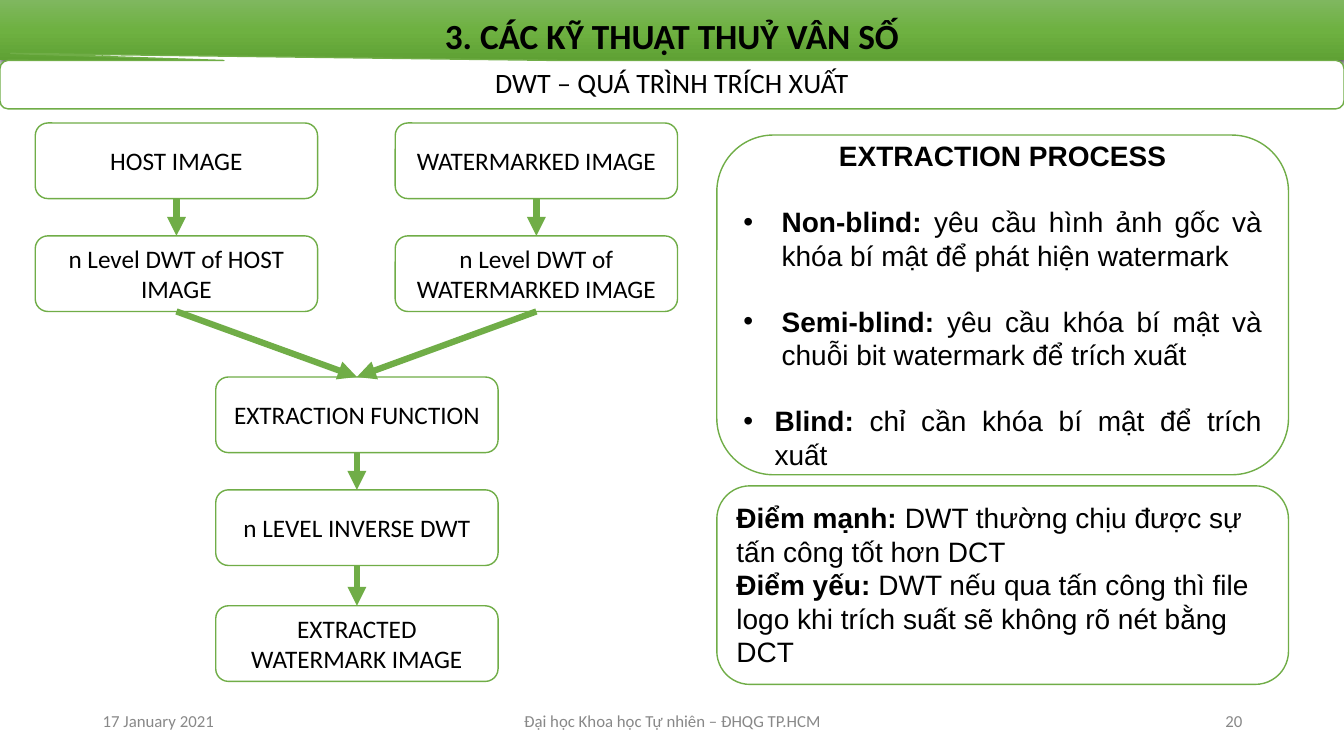
from copy import deepcopy

from pptx import Presentation, util as u
from pptx.dml.color import RGBColor
from pptx.enum import shapes, text
from pptx.oxml import parse_xml
from pptx.oxml.ns import nsdecls, qn

PX = 9144  # 100 px to the inch
GREEN, BLACK, WHITE, GREY = "70AD47", "000000", "FFFFFF", "888888"
LEFT, CENTER, RIGHT, JUSTIFY = (text.PP_ALIGN.LEFT, text.PP_ALIGN.CENTER,
                                text.PP_ALIGN.RIGHT, text.PP_ALIGN.JUSTIFY)
BLANK_LINE = 23  # points


def px(*lengths):
    return [u.Emu(length * PX) for length in lengths]


def color(value):
    return RGBColor.from_string(value)


def add_card(page, box, kind=shapes.MSO_SHAPE.ROUNDED_RECTANGLE):
    """White shape with a thin green outline."""
    card = page.shapes.add_shape(kind, *px(*box))
    card.shadow.inherit = False
    card.fill.solid()
    card.fill.fore_color.rgb = color(WHITE)
    card.line.color.rgb = color(GREEN)
    card.line.width = u.Pt(1)
    return card


def set_frame(shape, anchor=text.MSO_ANCHOR.MIDDLE):
    frame = shape.text_frame
    frame.word_wrap = True
    frame.vertical_anchor = anchor
    frame.margin_left = frame.margin_right = px(10)[0]
    frame.margin_top = frame.margin_bottom = px(5)[0]
    return frame


def write(para, runs, size, face="Calibri", tint=BLACK, align=CENTER):
    """Fill one paragraph with (wording, bold) runs."""
    para.alignment = align
    for wording, bold in runs:
        span = para.add_run()
        span.text = wording
        span.font.size = u.Pt(size)
        span.font.name = face
        span.font.bold = bold
        span.font.color.rgb = color(tint)


def add_label(page, box, wording, size, bold=False, tint=BLACK, align=CENTER, spacing=1.0):
    label = page.shapes.add_textbox(*px(*box))
    para = set_frame(label).paragraphs[0]
    write(para, [(wording, bold)], size, tint=tint, align=align)
    para.line_spacing = spacing


def set_bullet(para, indent):
    props = para._p.get_or_add_pPr()
    props.set("marL", str(indent * PX))
    props.set("indent", str(-indent * PX))
    for tag in (f'<a:buClr {nsdecls("a")}><a:srgbClr val="{BLACK}"/></a:buClr>',
                f'<a:buFont {nsdecls("a")} typeface="Arial"/>',
                f'<a:buChar {nsdecls("a")} char="•"/>'):
        props.append(parse_xml(tag))


def add_arrow(page, source, target):
    """Arrow from the bottom of one box to the top of another."""
    arrow = page.shapes.add_connector(shapes.MSO_CONNECTOR.STRAIGHT, 0, 0, 0, 0)
    arrow.begin_connect(source, 2)
    arrow.end_connect(target, 0)
    arrow.line.color.rgb = color(GREEN)
    arrow.line.width = u.Pt(4.5)
    arrow.line._get_or_add_ln().append(
        parse_xml(f'<a:tailEnd {nsdecls("a")} type="triangle"/>'))
    arrow._element.spPr.append(parse_xml(f'<a:effectLst {nsdecls("a")}/>'))


def add_header(page, box):
    left, top, width, height = box
    band_box = (left, top, width, 60)
    strip_box = (left, top + 60, width, height - 60)

    # Gradient band with a soft shadow
    band = page.shapes.add_shape(shapes.MSO_SHAPE.RECTANGLE, *px(*band_box))
    band.shadow.inherit = False
    band.line.fill.background()
    band.fill.gradient()
    band.fill.gradient_angle = 270
    stop_list = band._element.spPr.find(".//" + qn("a:gsLst"))
    stop_list.append(deepcopy(stop_list[0]))
    shades = ((0, "7FB75F"), (0.5, "6EB141"), (1, "5FA134"))
    for stop, (position, shade) in zip(band.fill.gradient_stops, shades):
        stop.position = position
        stop.color.rgb = color(shade)
    band._element.spPr.find(qn("a:effectLst")).append(parse_xml(
        f'<a:outerShdw {nsdecls("a")} blurRad="57150" dist="19050" dir="5400000">'
        f'<a:srgbClr val="{BLACK}"><a:alpha val="63000"/></a:srgbClr></a:outerShdw>'))

    # Subtitle strip
    strip = add_card(page, strip_box, shapes.MSO_SHAPE.ROUNDED_RECTANGULAR_CALLOUT)
    for index, value in enumerate((-0.492, -0.647, 0.167)):
        strip.adjustments[index] = value

    add_label(page, band_box, "3. CÁC KỸ THUẬT THUỶ VÂN SỐ", 25.2, bold=True, spacing=1.25)
    add_label(page, strip_box, "DWT – QUÁ TRÌNH TRÍCH XUẤT", 20, spacing=0.9)


def add_flowchart(page, box):
    left, top, width, _ = box
    step_width, step_height = 280, 75
    right = width - step_width
    middle = right // 2 + 1
    steps = {
        "host": (0, 0, "HOST IMAGE"),
        "marked": (right, 0, "WATERMARKED IMAGE"),
        "host_dwt": (0, 112, "n Level DWT of HOST IMAGE"),
        "marked_dwt": (right, 112, "n Level DWT of WATERMARKED IMAGE"),
        "extract": (middle, 252, "EXTRACTION FUNCTION"),
        "inverse": (middle, 364, "n LEVEL INVERSE DWT"),
        "result": (middle, 479, "EXTRACTED WATERMARK IMAGE"),
    }
    cards = {}
    for name, (x, y, wording) in steps.items():
        cards[name] = add_card(page, (left + x, top + y, step_width, step_height))
        write(set_frame(cards[name]).paragraphs[0], [(wording, False)], 18)

    for source, target in (("host", "host_dwt"), ("marked", "marked_dwt"),
                           ("host_dwt", "extract"), ("marked_dwt", "extract"),
                           ("extract", "inverse"), ("inverse", "result")):
        add_arrow(page, cards[source], cards[target])


def add_process_panel(page, box):
    frame = set_frame(add_card(page, box))
    write(frame.paragraphs[0], [("EXTRACTION PROCESS", True)], 20, "Arial")
    methods = (
        ("Non-blind:", " yêu cầu hình ảnh gốc và khóa bí mật để phát hiện watermark", 38),
        ("Semi-blind:", " yêu cầu khóa bí mật và chuỗi bit watermark để trích xuất", 38),
        ("Blind:", " chỉ cần khóa bí mật để trích xuất", 31),
    )
    for name, detail, indent in methods:
        para = frame.add_paragraph()
        set_bullet(para, indent)
        para.space_before = u.Pt(BLANK_LINE)
        write(para, [(name, True), (detail, False)], 20, "Arial", align=JUSTIFY)


def add_verdict_panel(page, box):
    frame = set_frame(add_card(page, box), text.MSO_ANCHOR.TOP)
    verdicts = (
        ("Điểm mạnh: ", "DWT thường chịu được sự tấn công tốt hơn DCT"),
        ("Điểm yếu: ", "DWT nếu qua tấn công thì file logo khi trích suất "
                       "sẽ không rõ nét bằng DCT"),
    )
    for index, (name, detail) in enumerate(verdicts):
        para = frame.add_paragraph() if index else frame.paragraphs[0]
        write(para, [(name, True), (detail, False)], 20, "Arial", align=LEFT)


def add_footer(page, box):
    left, top, width, height = box
    parts = ((0, 300, "17 January 2021", LEFT),
             (350, 450, "Đại học Khoa học Tự nhiên – ĐHQG TP.HCM", CENTER),
             (width - 300, 300, "20", RIGHT))
    for x, part_width, wording, align in parts:
        add_label(page, (left + x, top, part_width, height), wording, 12,
                  tint=GREY, align=align)


def main():
    deck = Presentation()
    deck.slide_width, deck.slide_height = px(1333, 750)
    page = deck.slides.add_slide(deck.slide_layouts[6])
    add_header(page, (0, 0, 1333, 108))
    add_footer(page, (92, 695, 1150, 40))
    add_flowchart(page, (35, 122, 637, 554))
    add_process_panel(page, (711, 134, 567, 337))
    add_verdict_panel(page, (711, 482, 567, 197))
    deck.save("out.pptx")


if __name__ == "__main__":
    main()
